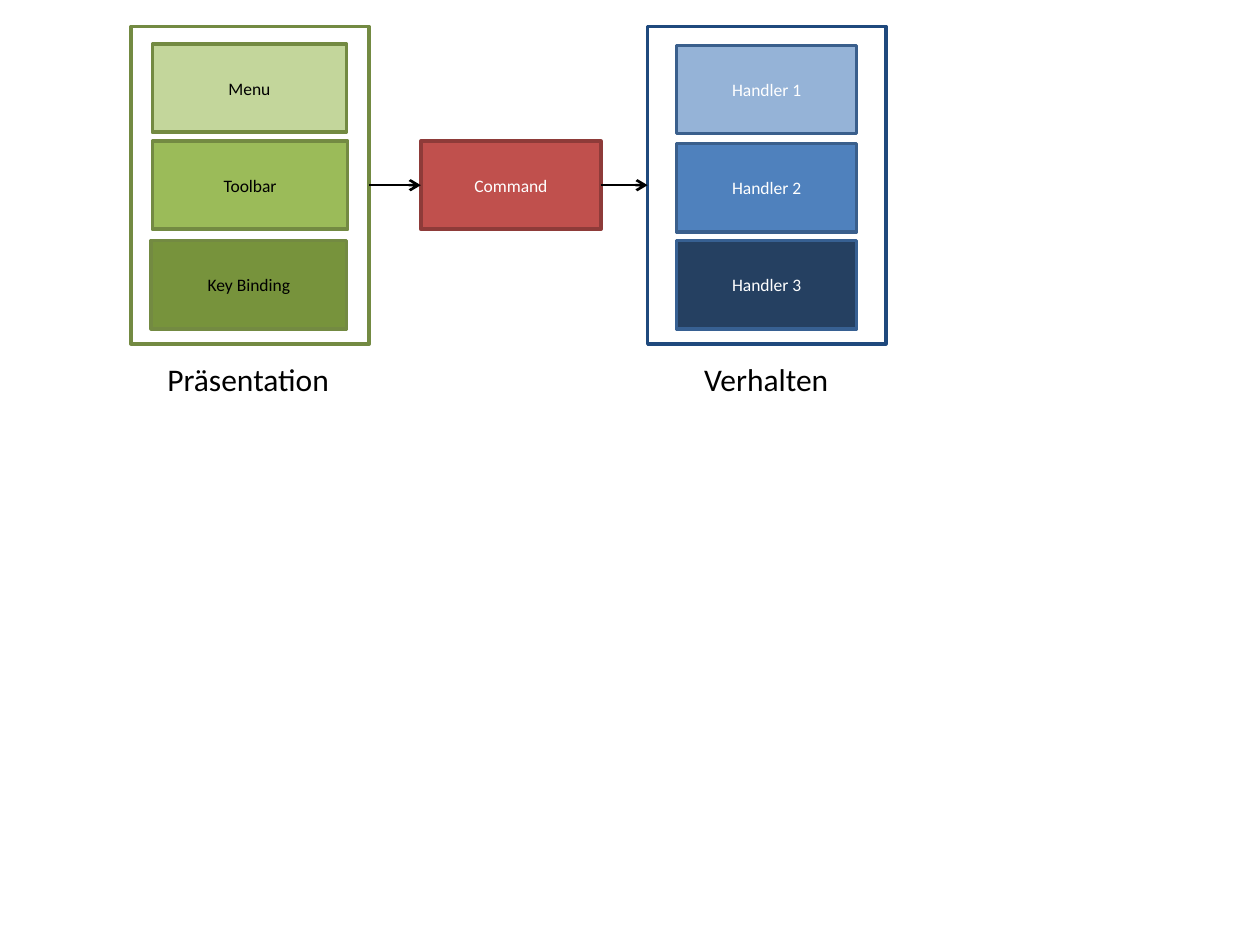
import pptx
import pptx.util
import pptx.dml.color
import pptx.enum.shapes
import pptx.enum.text
import pptx.oxml
import pptx.oxml.ns
from lxml import etree

Inches = pptx.util.Inches
Pt = pptx.util.Pt
RGBColor = pptx.dml.color.RGBColor
ALIGN = pptx.enum.text.PP_ALIGN

BLACK = RGBColor(0x00, 0x00, 0x00)
WHITE = RGBColor(0xFF, 0xFF, 0xFF)
GREEN_LINE = RGBColor(0x73, 0x8A, 0x42)
GREEN_LIGHT = RGBColor(0xC3, 0xD6, 0x9B)
GREEN = RGBColor(0x9B, 0xBB, 0x59)
GREEN_DARK = RGBColor(0x77, 0x93, 0x3C)
RED = RGBColor(0xC0, 0x50, 0x4D)
RED_LINE = RGBColor(0x8E, 0x3B, 0x39)
NAVY = RGBColor(0x1F, 0x49, 0x7D)
BLUE_LINE = RGBColor(0x3A, 0x5F, 0x8C)
BLUE_LINE_DARK = RGBColor(0x37, 0x60, 0x92)
BLUE_LIGHT = RGBColor(0x95, 0xB3, 0xD7)
BLUE = RGBColor(0x4F, 0x81, 0xBD)
BLUE_DARK = RGBColor(0x25, 0x40, 0x61)

PANEL_W, PANEL_H = 1.89, 2.52
BOX_H = 0.7
TOP = 0.21
ARROW_Y = 1.47


def add_run(tf, text, size, color, align):
    """Add one formatted run to the first paragraph of a text frame."""
    p = tf.paragraphs[0]
    p.alignment = align
    r = p.add_run()
    r.text = text
    r.font.name = "Calibri"
    r.font.size = Pt(size)
    r.font.color.rgb = color


def add_box(s, left, top, width, height, fill, line, text=None, color=BLACK):
    """Draw an outlined rectangle with an optional centred label."""
    sp = s.shapes.add_shape(pptx.enum.shapes.MSO_SHAPE.RECTANGLE,
                            Inches(left), Inches(top), Inches(width), Inches(height))
    sp.shadow.inherit = False
    sp.fill.solid()
    sp.fill.fore_color.rgb = fill
    sp.line.color.rgb = line
    sp.line.width = Pt(2)
    if text:
        sp.text_frame.vertical_anchor = pptx.enum.text.MSO_ANCHOR.MIDDLE
        add_run(sp.text_frame, text, 10, color, ALIGN.CENTER)


def add_caption(s, left, top, width, text):
    """Place a caption that grows with its text."""
    sp = s.shapes.add_textbox(Inches(left), Inches(top), Inches(width), Inches(0.4))
    tf = sp.text_frame
    tf.word_wrap = False
    tf.auto_size = pptx.enum.text.MSO_AUTO_SIZE.SHAPE_TO_FIT_TEXT
    add_run(tf, text, 18, BLACK, ALIGN.LEFT)


def add_panel(s, left, top, line, color, boxes, caption, caption_dx, caption_w):
    """Draw a framed stack of boxes with a caption below it."""
    add_box(s, left, top, PANEL_W, PANEL_H, WHITE, line)
    for text, dx, dy, width, fill, box_line in boxes:
        add_box(s, left + dx, top + dy, width, BOX_H, fill, box_line, text, color)
    add_caption(s, left + caption_dx, top + PANEL_H + 0.08, caption_w, caption)


def add_arrow(s, start, end, y):
    """Draw a horizontal arrow from start to end."""
    c = s.shapes.add_connector(pptx.enum.shapes.MSO_CONNECTOR.STRAIGHT,
                               Inches(start), Inches(y), Inches(end), Inches(y))
    c.line.color.rgb = BLACK
    c.line.width = Pt(1.5)
    ln = c.line._get_or_add_ln()
    etree.SubElement(ln, pptx.oxml.ns.qn("a:tailEnd"), type="arrow")
    etree.SubElement(c._element.spPr, pptx.oxml.ns.qn("a:effectLst"))


def add_command_flow(s, left, top):
    """Draw the panels, the command between them and the arrows."""
    command_x, command_w, behaviour_x = left + 2.3, 1.43, left + 4.1
    add_panel(s, left, top, GREEN_LINE, BLACK, [
        ("Menu", 0.17, 0.14, 1.54, GREEN_LIGHT, GREEN_LINE),
        ("Toolbar", 0.17, 0.91, 1.55, GREEN, GREEN_LINE),
        ("Key Binding", 0.16, 1.7, 1.55, GREEN_DARK, GREEN_LINE),
    ], "Präsentation", 0.19, 1.5)
    add_box(s, command_x, ARROW_Y - BOX_H / 2, command_w, BOX_H, RED, RED_LINE,
            "Command", WHITE)
    add_panel(s, behaviour_x, top, NAVY, WHITE, [
        ("Handler 1", 0.23, 0.15, 1.43, BLUE_LIGHT, BLUE_LINE),
        ("Handler 2", 0.23, 0.93, 1.43, BLUE, BLUE_LINE),
        ("Handler 3", 0.23, 1.7, 1.43, BLUE_DARK, BLUE_LINE_DARK),
    ], "Verhalten", 0.35, 1.2)
    add_arrow(s, left + PANEL_W, command_x, ARROW_Y)
    add_arrow(s, command_x + command_w, behaviour_x, ARROW_Y)


prs = pptx.Presentation()
prs.slide_width = Inches(10)
prs.slide_height = Inches(7.5)
s = prs.slides.add_slide(prs.slide_layouts[6])
add_command_flow(s, 1.04, TOP)
prs.save("out.pptx")
